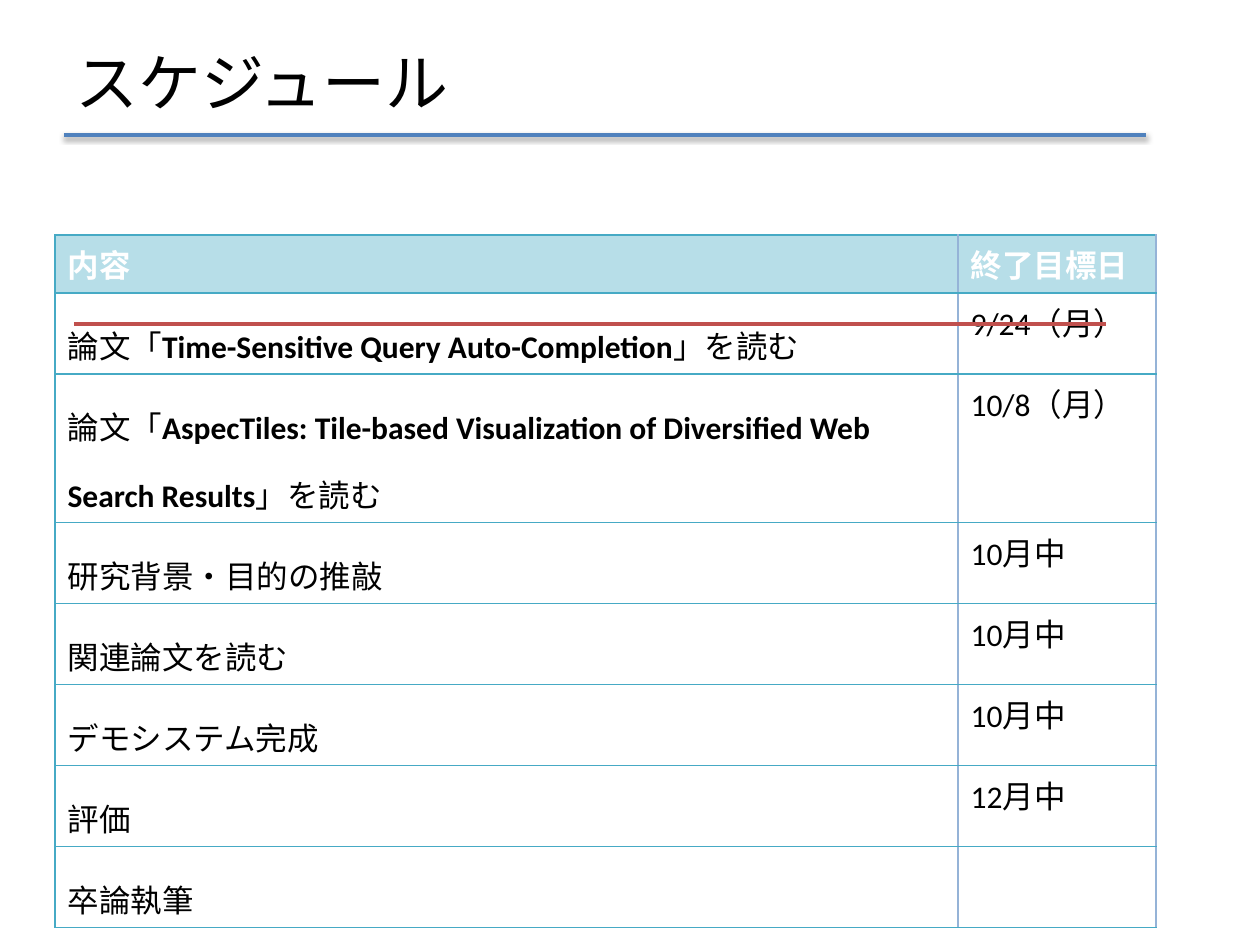
from lxml.etree import SubElement
from pptx import Presentation
from pptx.dml.color import RGBColor
from pptx.enum.shapes import MSO_CONNECTOR
from pptx.enum.text import MSO_ANCHOR
from pptx.oxml.ns import qn
from pptx.util import Emu, Pt

COLORS = {
    "text": "000000",
    "header_text": "FFFFFF",
    "header_fill": "B7DEE8",
    "grid": "46AAC5",
    "divider": "95B3D7",
    "title_rule": "4F81BD",
    "strike": "C0504D",
}
JAPANESE, LATIN = "Noto Sans CJK JP", "Calibri"
HEADER_HEIGHT, ONE_LINE, TWO_LINES = 58, 81, 149
HEADINGS = ["内容", "終了目標日"]
SCHEDULE = [
    (["論文「", "Time-Sensitive Query Auto-Completion", "」を読む"], "9/24（月）", ONE_LINE),
    (["論文「", "AspecTiles: Tile-based Visualization of Diversiﬁed Web Search Results",
      "」を読む"], "10/8（月）", TWO_LINES),
    (["研究背景・目的の推敲"], "10月中", ONE_LINE),
    (["関連論文を読む"], "10月中", ONE_LINE),
    (["デモシステム完成"], "10月中", ONE_LINE),
    (["評価"], "12月中", ONE_LINE),
    (["卒論執筆"], "", ONE_LINE),
]


def px(length):
    return Emu(round(length * 914400 / 126))


class ScheduleSlide:
    """Draws the parts of the schedule slide in one shared style."""

    def __init__(self, slide):
        self.slide = slide

    def style(self, font, size=None, color=None, name=None, bold=None):
        if size:
            font.size = Pt(size)
        if color:
            font.color.rgb = RGBColor.from_string(COLORS[color])
        if name:
            font.name = name
        font.bold = bold

    def title(self, text, left, top, width, height):
        frame = self.slide.shapes.add_textbox(
            px(left), px(top), px(width), px(height)).text_frame
        frame.word_wrap = True
        frame.vertical_anchor = MSO_ANCHOR.MIDDLE
        heading = frame.paragraphs[0]
        heading.text = text
        self.style(heading.font, 36, "text", JAPANESE)

    def rule(self, start, end, y, color, shadow=False):
        line = self.slide.shapes.add_connector(
            MSO_CONNECTOR.STRAIGHT, px(start), px(y), px(end), px(y))
        line.line.color.rgb = RGBColor.from_string(COLORS[color])
        line.line.width = Pt(2)
        effects = SubElement(line._element.spPr, qn("a:effectLst"))
        if shadow:
            outer = SubElement(effects, qn("a:outerShdw"), blurRad=str(Pt(3.1)),
                               dist=str(Pt(1.6)), dir="5400000", rotWithShape="0")
            black = SubElement(outer, qn("a:srgbClr"), val=COLORS["text"])
            SubElement(black, qn("a:alpha"), val="38000")

    def borders(self, cell, left):
        properties = cell._tc.get_or_add_tcPr()
        sides = {"lnL": left, "lnR": "divider", "lnT": "grid", "lnB": "grid"}
        for side, color in sides.items():
            width = Pt(1) if color == "divider" else Pt(0.75)
            edge = SubElement(properties, qn(f"a:{side}"), w=str(width))
            fill = SubElement(edge, qn("a:solidFill"))
            SubElement(fill, qn("a:srgbClr"), val=COLORS[color])

    def cell(self, cell, parts, column, header=False):
        self.borders(cell, "divider" if column else "grid")
        if header:
            cell.fill.solid()
            cell.fill.fore_color.rgb = RGBColor.from_string(COLORS["header_fill"])
        else:
            cell.fill.background()
        entry = cell.text_frame.paragraphs[0]
        task = column == 0 and not header
        if task:
            entry.line_spacing = 1.5
        mixed = len(parts) > 1
        name = JAPANESE if task else LATIN
        self.style(entry.font, 18, "header_text" if header else "text",
                   None if mixed else name, None if mixed else header)
        for index, part in enumerate(parts):
            run = entry.add_run()
            run.text = part
            if mixed:
                paper = index == 1
                self.style(run.font, name=LATIN if paper else JAPANESE, bold=paper)

    def table(self, left, top, widths):
        heights = [HEADER_HEIGHT] + [height for _, _, height in SCHEDULE]
        table = self.slide.shapes.add_table(
            len(heights), len(widths), px(left), px(top),
            px(sum(widths)), px(sum(heights))).table
        table.first_row = table.horz_banding = False
        for column, width in zip(table.columns, widths):
            column.width = px(width)
        for row, height in zip(table.rows, heights):
            row.height = px(height)
        for column, heading in enumerate(HEADINGS):
            self.cell(table.cell(0, column), [heading], column, header=True)
        for row, (task, deadline, _) in enumerate(SCHEDULE, 1):
            self.cell(table.cell(row, 0), task, 0)
            self.cell(table.cell(row, 1), [deadline] if deadline else [], 1)


def main():
    presentation = Presentation()
    presentation.slide_width, presentation.slide_height = px(1260), px(945)
    blank = presentation.slide_layouts[6]
    schedule = ScheduleSlide(presentation.slides.add_slide(blank))
    schedule.title("スケジュール", 63, 38, 1029, 87)
    schedule.table(55, 235, [903, 198])
    schedule.rule(64, 1146, 135, "title_rule", shadow=True)
    schedule.rule(74, 1106, 324, "strike")
    presentation.save("out.pptx")


if __name__ == "__main__":
    main()
